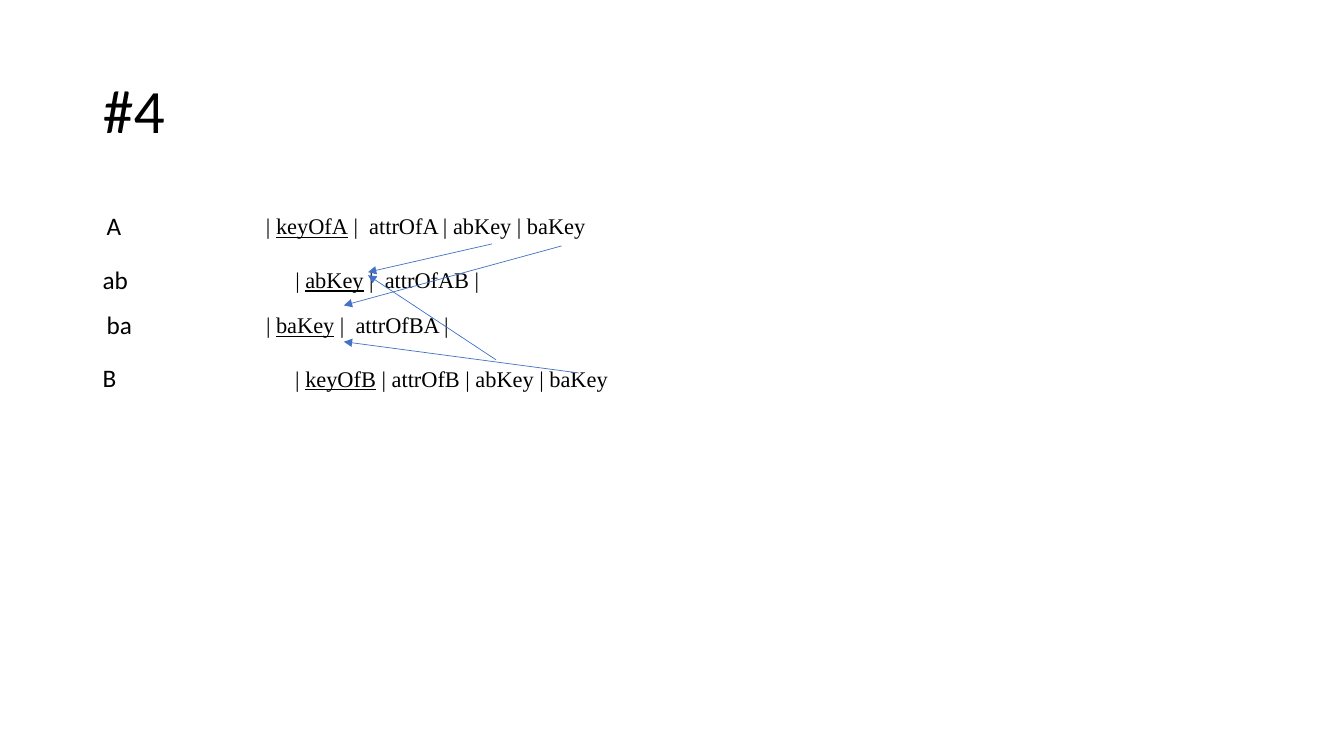
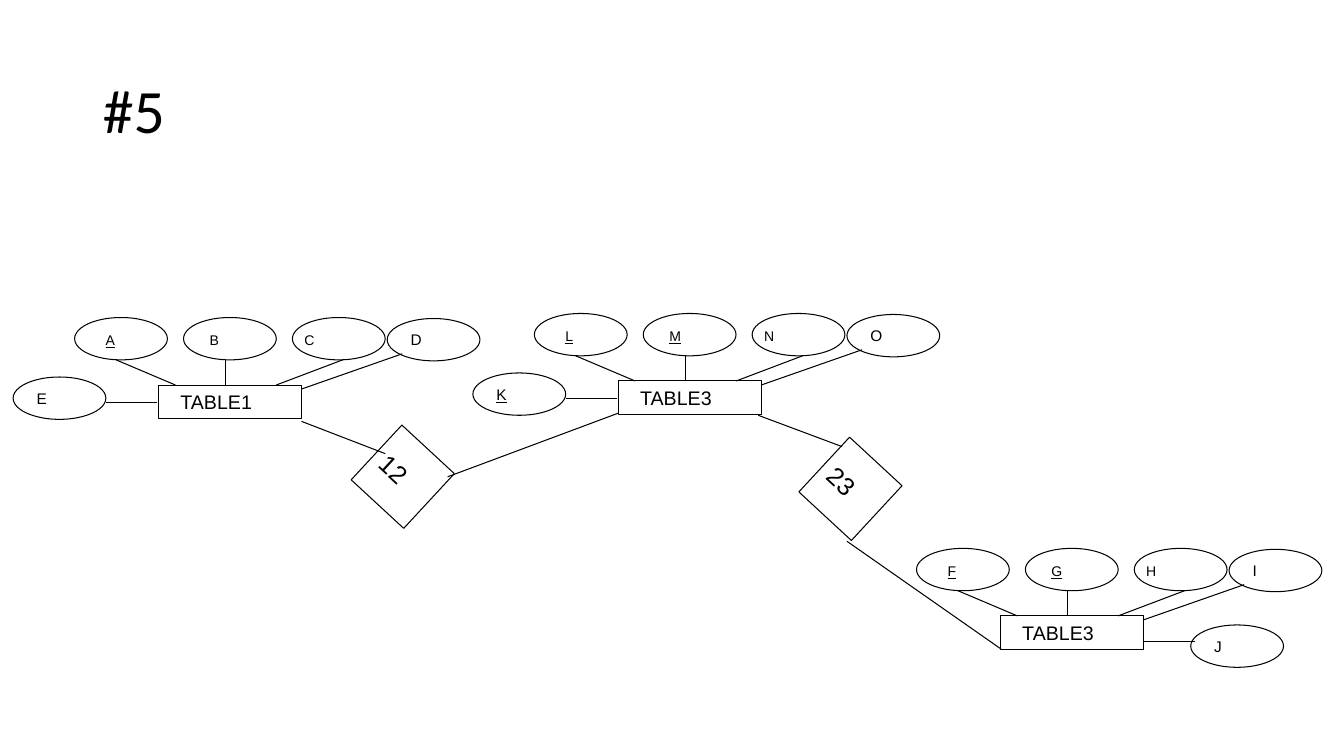
from lxml import etree
from pptx import Presentation
from pptx.dml.color import RGBColor
from pptx.enum.shapes import MSO_CONNECTOR, MSO_SHAPE
from pptx.enum.text import MSO_ANCHOR, MSO_AUTO_SIZE, PP_ALIGN
from pptx.oxml.ns import qn
from pptx.util import Inches, Pt

RECTANGLE, ELLIPSE = MSO_SHAPE.RECTANGLE, MSO_SHAPE.OVAL
STRAIGHT = MSO_CONNECTOR.STRAIGHT
MIDDLE, TOP = MSO_ANCHOR.MIDDLE, MSO_ANCHOR.TOP
LEFT = PP_ALIGN.LEFT
GROW = MSO_AUTO_SIZE.SHAPE_TO_FIT_TEXT

COLOURS = {"ink": "000000", "paper": "FFFFFF", "arrow": "4472C4"}
BODY, CODE, DIAGRAM = "Calibri", "Times New Roman", "Arial"
TITLE_ONLY = 5

# Diagram sizes in inches
TABLE_W, TABLE_H = 1.42, 0.33
OVAL_W, OVAL_H = 0.92, 0.42
OVAL_PITCH = 1.08
LABEL_SHIFTS = (0.21, 0.16, 0.02)
SPOKES = (((-0.42, -0.25), (0.17, 0)),
          ((0.67, -0.25), (0.67, 0)),
          ((1.83, -0.25), (1.17, 0)))


def colour(name):
    return RGBColor.from_string(COLOURS[name])


# Shared parts
def write(shape, spans, font, size, anchor=TOP, wrap=False):
    """Fill a shape with one paragraph of (text, underlined) spans."""
    frame = shape.text_frame
    frame.word_wrap = wrap
    frame.vertical_anchor = anchor
    para = frame.paragraphs[0]
    para.alignment = LEFT
    for text, underlined in spans:
        span = para.add_run()
        span.text = text
        span.font.name = font
        span.font.size = Pt(size)
        span.font.color.rgb = colour("ink")
        if underlined:
            span.font.underline = True
    return para


def add_text(shapes, box, spans, font, size, wrap=False):
    text_box = shapes.add_textbox(*map(Inches, box))
    write(text_box, spans, font, size, wrap=wrap)
    text_box.text_frame.auto_size = GROW


def add_outline(shapes, kind, box):
    shape = shapes.add_shape(kind, *map(Inches, box))
    shape.shadow.inherit = False
    shape.fill.solid()
    shape.fill.fore_color.rgb = colour("paper")
    shape.line.color.rgb = colour("ink")
    shape.line.width = Pt(0.75)
    return shape


def add_line(shapes, start, end, name="ink", width=0.75, arrow=False):
    line = shapes.add_connector(STRAIGHT, *map(Inches, (*start, *end)))
    line.line.color.rgb = colour(name)
    line.line.width = Pt(width)
    properties = line._element.spPr
    if arrow:
        etree.SubElement(properties.find(qn("a:ln")), qn("a:tailEnd"), type="triangle")
    etree.SubElement(properties, qn("a:effectLst"))


def add_page(deck, title):
    page = deck.slides.add_slide(deck.slide_layouts[TITLE_ONLY])
    holder = page.shapes.title
    holder.left, holder.top, holder.width, holder.height = map(
        Inches, (0.92, 0.4, 11.5, 1.45))
    para = write(holder, [(title, False)], BODY, 44, MIDDLE, wrap=True)
    para.line_spacing = 0.9
    return page


# Relational schema
def add_relation(shapes, row, name, key, attributes):
    pair, second = divmod(row, 2)
    top = 2.04 + 0.98 * pair + 0.53 * second
    label_left, label_width, schema_left = (
        (0.92, 2.67, 2.83) if second else (0.96, 1.39, 2.54))
    schema_width = 3.4 if "baKey" in attributes else 2.05
    add_text(shapes, (label_left, top, label_width, 0.4),
             [(name, False)], BODY, 18, wrap=True)
    add_text(shapes, (schema_left, top + 0.02, schema_width, 0.37),
             [("| ", False), (key, True), (attributes, False)], CODE, 16)


def add_schema_page(deck):
    shapes = add_page(deck, "#4").shapes
    relations = (("A", "keyOfA", " |  attrOfA | abKey | baKey"),
                 ("ab", "abKey", " |  attrOfAB |"),
                 ("ba", "baKey", " |  attrOfBA |"),
                 ("B", "keyOfB", " | attrOfB | abKey | baKey"))
    for row, relation in enumerate(relations):
        add_relation(shapes, row, *relation)
    references = (((4.88, 2.42), (3.65, 2.7)), ((5.57, 2.44), (3.41, 3.03)),
                  ((4.92, 3.57), (3.65, 2.73)), ((5.74, 3.7), (3.41, 3.39)))
    for start, end in references:
        add_line(shapes, start, end, "arrow", 0.5, arrow=True)


# Entity-relationship diagram
def add_entity(shapes, left, top, name, attributes, keys, side_right=False):
    """Draw a table with four attributes above it and one beside it."""
    def at(x, y):
        return left + x, top + y

    def add_attribute(x, y, letter):
        oval = add_outline(shapes, ELLIPSE, (*at(x, y), OVAL_W, OVAL_H))
        write(oval, [(letter, letter in keys)], DIAGRAM, 11, MIDDLE)

    parts = shapes.add_group_shape().shapes
    add_outline(parts, RECTANGLE, (left, top, TABLE_W, TABLE_H))
    add_text(parts, (*at(0.12, 0), 0.92, 0.34), [(name, False)], DIAGRAM, 14)
    for column, (letter, shift) in enumerate(zip(attributes, LABEL_SHIFTS)):
        x = -0.83 + column * OVAL_PITCH
        add_outline(parts, ELLIPSE, (*at(x, -0.67), OVAL_W, OVAL_H))
        add_text(parts, (*at(x + shift, -0.58), 0.3, 0.27),
                 [(letter, letter in keys)], DIAGRAM, 10)
    for start, end in SPOKES:
        add_line(parts, at(*start), at(*end))

    fourth, side = attributes[3:]
    add_attribute(2.27, -0.66, fourth)
    add_line(shapes, at(2.42, -0.31), at(TABLE_W, 0.04))
    side_x, side_y, line_x, line_y = (
        (1.89, 0.09, TABLE_W, 0.25) if side_right else (-1.44, -0.08, -0.52, 0.17))
    add_attribute(side_x, side_y, side)
    add_line(shapes, at(line_x, line_y), at(line_x + 0.51, line_y))


def add_relationship(shapes, left, top, name):
    diamond = add_outline(shapes, RECTANGLE, (left, top, 0.71, 0.74))
    diamond.rotation = 42.8
    write(diamond, [(name, False)], DIAGRAM, 18, MIDDLE)


def add_diagram_page(deck):
    shapes = add_page(deck, "#5").shapes
    add_entity(shapes, 1.57, 3.82, "TABLE1", "ABCDE", "A")
    add_relationship(shapes, 3.64, 4.36, "12")
    add_entity(shapes, 6.13, 3.78, "TABLE3", "LMNOK", "KLM")
    add_relationship(shapes, 8.08, 4.48, "23")
    add_entity(shapes, 9.92, 6.11, "TABLE3", "FGHIJ", "FG", side_right=True)
    links = (((3.82, 4.5), (2.99, 4.18)), ((6.13, 4.1), (4.44, 4.73)),
             ((8.35, 4.43), (7.52, 4.12)), ((8.4, 5.37), (9.93, 6.44)))
    for start, end in links:
        add_line(shapes, start, end)


def main():
    deck = Presentation()
    deck.slide_width, deck.slide_height = Inches(13.33), Inches(7.5)
    add_schema_page(deck)
    add_diagram_page(deck)
    deck.save("out.pptx")


if __name__ == "__main__":
    main()
